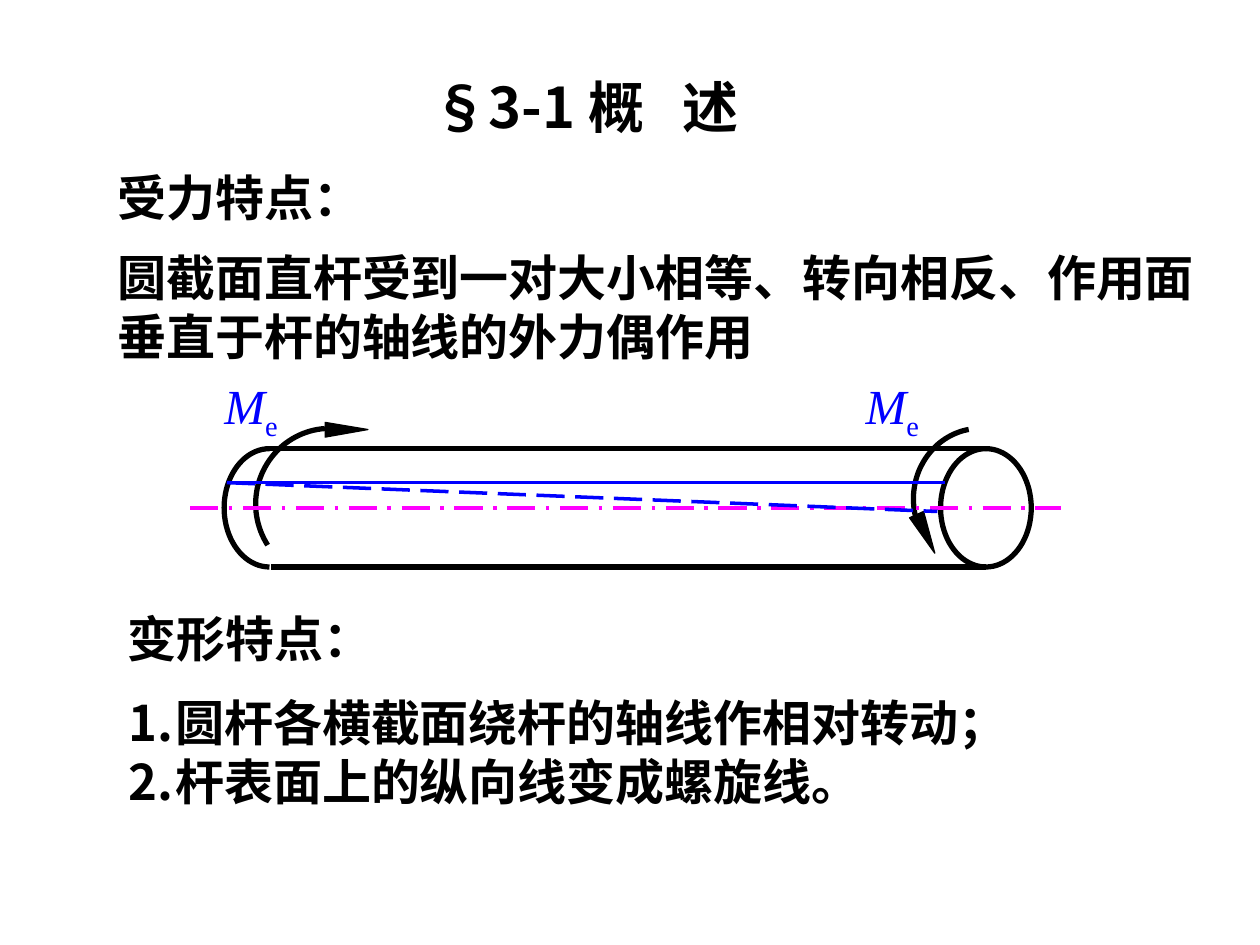
import math

import pptx
import pptx.dml.color
import pptx.enum.dml
import pptx.enum.shapes
import pptx.enum.text
import pptx.oxml.ns
import pptx.util
from pptx.util import Pt

BLACK = pptx.dml.color.RGBColor(0, 0, 0)
BLUE = pptx.dml.color.RGBColor(0, 0, 255)
MAGENTA = pptx.dml.color.RGBColor(255, 0, 255)
CHINESE_FONT = "Noto Sans CJK SC"
qn = pptx.oxml.ns.qn


def write_text(shape, lines, size, spacing):
    """Fill a box with bold Chinese paragraphs, set from its top left."""
    frame = shape.text_frame
    frame.word_wrap = True
    frame.auto_size = pptx.enum.text.MSO_AUTO_SIZE.NONE
    frame.vertical_anchor = pptx.enum.text.MSO_ANCHOR.TOP
    frame.margin_left = frame.margin_right = Pt(7.2)
    frame.margin_top, frame.margin_bottom = Pt(6), Pt(0)
    frame.text = "\n".join(lines)
    for paragraph in frame.paragraphs:
        paragraph.alignment = pptx.enum.text.PP_ALIGN.LEFT
        paragraph.line_spacing = Pt(spacing)
        paragraph.space_before = Pt(0)
        if len(lines) > 1:
            properties = paragraph._p.get_or_add_pPr()
            properties.set("marL", str(Pt(27)))
            properties.set("indent", str(-Pt(27)))
            numbering = properties.makeelement(qn("a:buAutoNum"), {"type": "arabicPeriod"})
            properties.append(numbering)
        font = paragraph.font
        font.size = Pt(size)
        font.bold = True
        font.name = CHINESE_FONT
        font.color.rgb = BLACK
        defaults = paragraph._p.pPr.find(qn("a:defRPr"))
        defaults.append(defaults.makeelement(qn("a:ea"), {"typeface": CHINESE_FONT}))


def draw_outline(slide, points, width, closed=False):
    """Draw a black outline through points; a closed one is filled."""
    corners = [(Pt(x), Pt(y)) for x, y in points]
    builder = slide.shapes.build_freeform(*corners[0])
    builder.add_line_segments(corners[1:], close=closed)
    shape = builder.convert_to_shape()
    shape.shadow.inherit = False
    shape.line.color.rgb = BLACK
    shape.line.width = Pt(width)
    if closed:
        shape.fill.solid()
        shape.fill.fore_color.rgb = BLACK
    else:
        shape.fill.background()


presentation = pptx.Presentation()
presentation.slide_width, presentation.slide_height = Pt(720), Pt(540)
slide = presentation.slides.add_slide(presentation.slide_layouts[1])

# Title and numbered list
title, body = slide.placeholders
title.left, title.top, title.width, title.height = Pt(240), Pt(36), Pt(252), Pt(46)
write_text(title, ["§3-1 概   述"], 32, 38)
body.left, body.top, body.width, body.height = Pt(66), Pt(390), Pt(624), Pt(75)
write_text(body, ["圆杆各横截面绕杆的轴线作相对转动；", "杆表面上的纵向线变成螺旋线。"], 28, 33.5)

# Headings and statement
for text, left, top, width, height in [
    ("受力特点：", 60, 90, 156, 41),
    ("圆截面直杆受到一对大小相等、转向相反、作用面垂直于杆的轴线的外力偶作用", 60, 135.5, 636, 75),
    ("变形特点：", 66, 342, 156, 41),
]:
    box = slide.shapes.add_textbox(Pt(left), Pt(top), Pt(width), Pt(height))
    write_text(box, [text], 28, 33.5)

# Moment labels
for left in (128.2, 494.6):
    label = slide.shapes.add_textbox(Pt(left), Pt(214.6), Pt(37.5), Pt(38.2))
    frame = label.text_frame
    frame.word_wrap = False
    frame.margin_left = frame.margin_right = frame.margin_top = frame.margin_bottom = 0
    paragraph = frame.paragraphs[0]
    paragraph.font.size = Pt(28)
    paragraph.font.name = "Times New Roman"
    paragraph.font.color.rgb = BLUE
    symbol, subscript = paragraph.add_run(), paragraph.add_run()
    symbol.text, subscript.text = "M", "e"
    symbol.font.italic = True
    subscript.font._element.set("baseline", "-25000")

# Bar ends and turning arrows: centre, radii, start and end angle
for centre_x, centre_y, radius_x, radius_y, start, end in [
    (154, 290.2, 25.9, 33.8, 90, 270),
    (563.4, 290.2, 25.9, 33.8, 90, 270),
    (563.4, 290.2, 25.9, 33.8, 90, -90),
    (188.6, 288, 42.5, 43.2, 94, 213),
    (560.2, 285.1, 38.2, 40.3, 100, 194),
]:
    angles = [math.radians(start + (end - start) * step / 40) for step in range(41)]
    arc = [(centre_x + radius_x * math.cos(angle), centre_y - radius_y * math.sin(angle))
           for angle in angles]
    draw_outline(slide, arc, 3)

# Arrowheads
for triangle in [
    [(185.8, 249.8), (185.8, 241.4), (210.2, 245.5)],
    [(527.8, 292.3), (519.8, 295.9), (534.2, 316.1)],
]:
    draw_outline(slide, triangle, 0, closed=True)

# Bar edges, axis, and surface line before and after twisting
DASH = pptx.enum.dml.MSO_LINE
for x1, y1, x2, y2, color, width, dash in [
    (153.4, 256.4, 563.4, 256.4, BLACK, 3, None),
    (154.8, 324, 563.4, 324, BLACK, 3, None),
    (108.7, 290.2, 606.2, 290.2, MAGENTA, 0, DASH.LONG_DASH_DOT),
    (130.3, 275.8, 540, 275.8, BLUE, 0, None),
    (129.6, 275.8, 535.7, 292.3, BLUE, 0, DASH.LONG_DASH),
]:
    line = slide.shapes.add_connector(
        pptx.enum.shapes.MSO_CONNECTOR.STRAIGHT, Pt(x1), Pt(y1), Pt(x2), Pt(y2))
    line.line.color.rgb = color
    line.line.width = Pt(width)
    if dash:
        line.line.dash_style = dash
    properties = line._element.spPr
    properties.append(properties.makeelement(qn("a:effectLst"), {}))

presentation.save("out.pptx")
